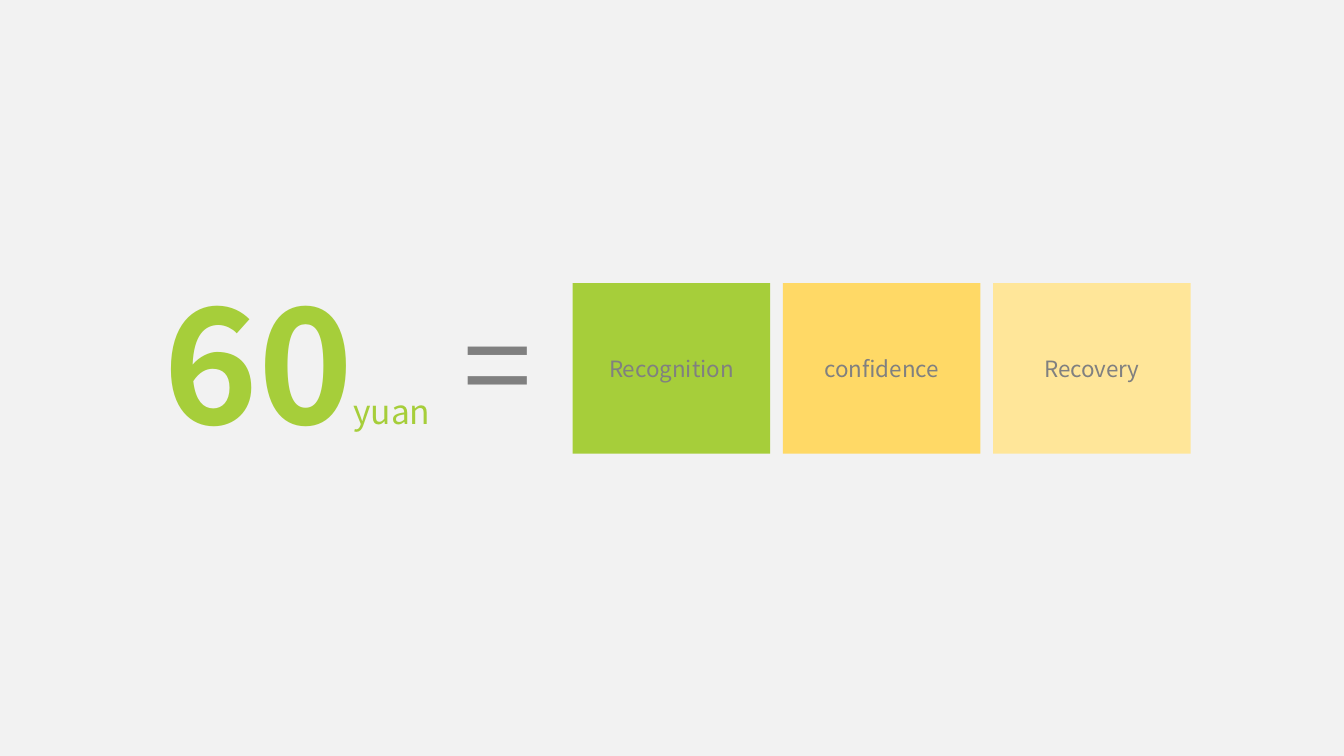
import pptx
import pptx.dml.color
import pptx.enum.shapes
import pptx.enum.text
import pptx.util

FONT = "Noto Sans CJK SC"
COLORS = {
    "background": "F2F2F2",
    "green": "A6CE3A",
    "yellow": "FFD966",
    "cream": "FFE699",
    "grey": "808080",
}

# Runs: text, size in points, colour, bold
PRICE = [("60", 115, "green", True), ("yuan", 24, "green", False)]
EQUALS = [("=", 88, "grey", False)]
BENEFITS = [("Recognition", "green"), ("confidence", "yellow"), ("Recovery", "cream")]

# Inches
SLIDE_SIZE = (13.33, 7.5)
PRICE_BOX = (1.52, 2.57, 3.12, 2.04)
EQUALS_BOX = (4.5, 2.81, 1.18, 1.58)
CARD_LEFT, CARD_TOP = 5.68, 2.81
CARD_WIDTH, CARD_HEIGHT = 1.96, 1.69
CARD_PITCH = 2.085


def color(name):
    return pptx.dml.color.RGBColor.from_string(COLORS[name])


def inches(box):
    return [pptx.util.Inches(length) for length in box]


def write(paragraph, runs):
    for text, size, color_name, bold in runs:
        run = paragraph.add_run()
        run.text = text
        run.font.name = FONT
        run.font.size = pptx.util.Pt(size)
        run.font.bold = bold
        run.font.color.rgb = color(color_name)


def add_label(slide, box, runs):
    frame = slide.shapes.add_textbox(*inches(box)).text_frame
    frame.word_wrap = True
    frame.auto_size = pptx.enum.text.MSO_AUTO_SIZE.SHAPE_TO_FIT_TEXT
    write(frame.paragraphs[0], runs)


def add_card(slide, column, benefit, fill):
    box = (CARD_LEFT + column * CARD_PITCH, CARD_TOP, CARD_WIDTH, CARD_HEIGHT)
    card = slide.shapes.add_shape(
        pptx.enum.shapes.MSO_SHAPE.RECTANGLE, *inches(box)
    )
    card.shadow.inherit = False
    card.fill.solid()
    card.fill.fore_color.rgb = color(fill)
    card.line.fill.background()
    frame = card.text_frame
    frame.word_wrap = True
    frame.vertical_anchor = pptx.enum.text.MSO_ANCHOR.MIDDLE
    paragraph = frame.paragraphs[0]
    paragraph.alignment = pptx.enum.text.PP_ALIGN.CENTER
    write(paragraph, [(benefit, 16, "grey", False)])


def main():
    deck = pptx.Presentation()
    deck.slide_width, deck.slide_height = inches(SLIDE_SIZE)
    slide = deck.slides.add_slide(deck.slide_layouts[6])
    slide.background.fill.solid()
    slide.background.fill.fore_color.rgb = color("background")

    add_label(slide, PRICE_BOX, PRICE)
    add_label(slide, EQUALS_BOX, EQUALS)
    for column, (benefit, fill) in enumerate(BENEFITS):
        add_card(slide, column, benefit, fill)

    deck.save("out.pptx")


if __name__ == "__main__":
    main()
